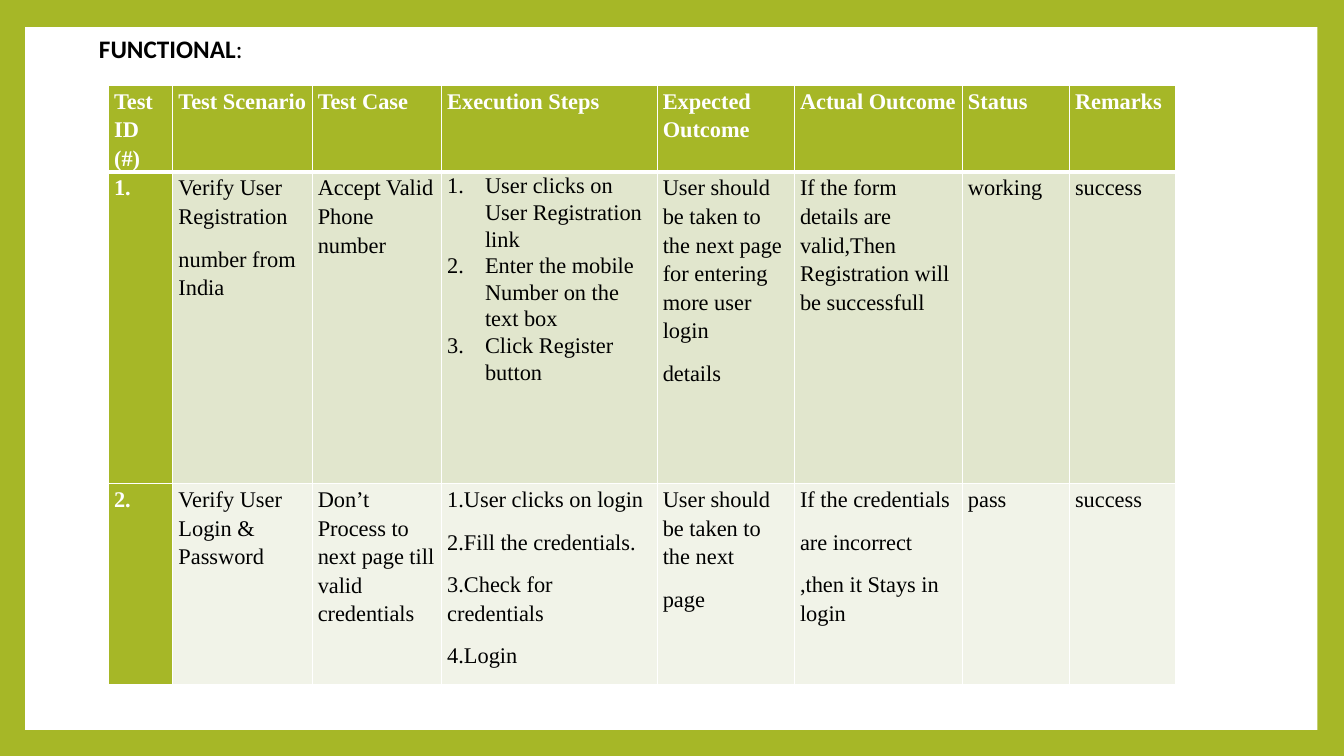
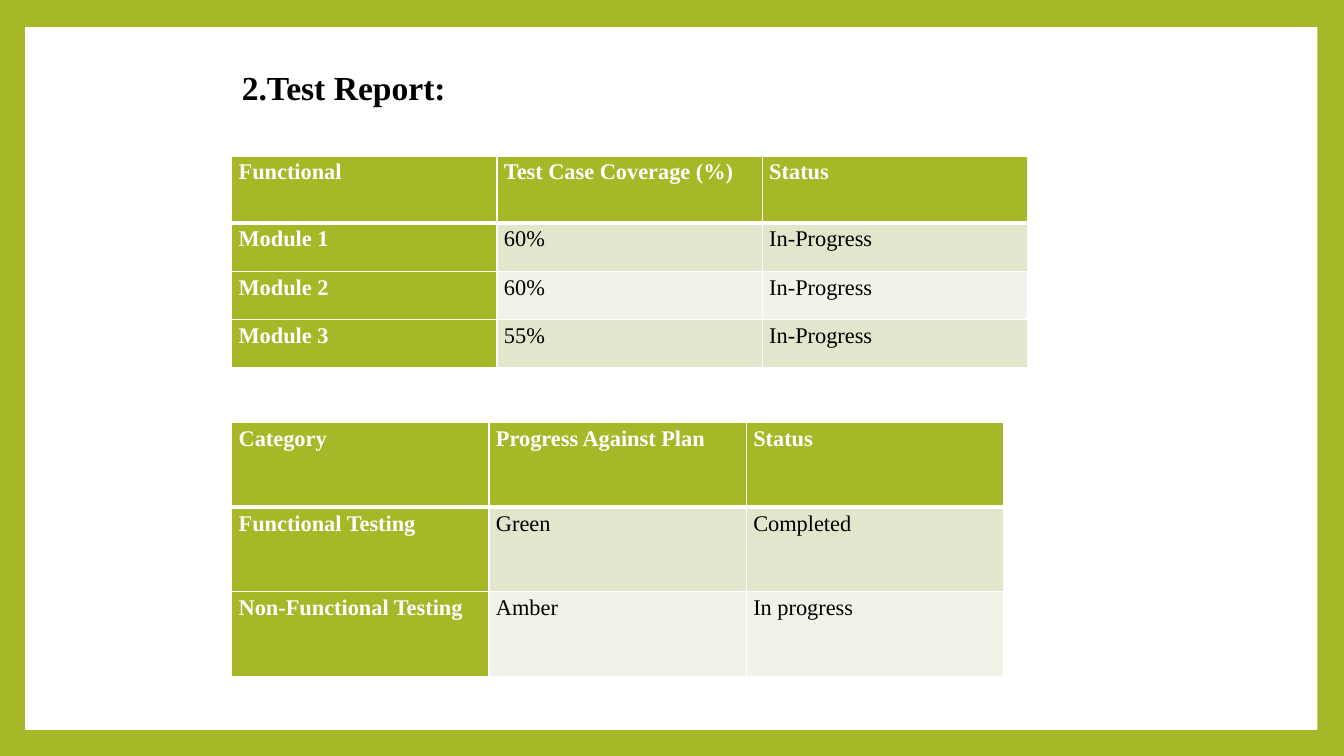
from dataclasses import dataclass

from lxml.etree import SubElement
from pptx import Presentation
from pptx.dml.color import RGBColor
from pptx.enum.shapes import MSO_SHAPE as Shape
from pptx.enum.text import MSO_ANCHOR as Anchor
from pptx.enum.text import MSO_AUTO_SIZE as Fit
from pptx.enum.text import PP_ALIGN as Align
from pptx.oxml.ns import qn
from pptx.util import Pt

GREEN, WHITE, BLACK = "A6B727", "FFFFFF", "000000"
BANDS = ("E1E6CD", "F1F3E8")
SERIF, SANS = "Times New Roman", "Calibri"


@dataclass(frozen=True)
class Head:
    box: tuple[float, float, float, float]
    runs: tuple[tuple[str, bool], ...]
    font: str
    size: float
    anchor: Anchor


@dataclass(frozen=True)
class Grid:
    left: float
    top: float
    cols: tuple[float, ...]
    rows: tuple[float, ...]
    pad: float
    cells: tuple[tuple[str, ...], ...]
    steps: tuple[int, int] | None = None


CASES = Grid(
    77.5, 61, (46, 99.5, 92.5, 154, 98, 120, 76.5, 76), (62, 222.5, 143.5), 4,
    (
        ("Test ID (#)", "Test Scenario", "Test Case", "Execution Steps",
         "Expected Outcome", "Actual Outcome", "Status", "Remarks"),
        ("1.", "Verify User Registration\nnumber from India",
         "Accept Valid Phone number",
         "User clicks on User Registration link\n"
         "Enter the mobile Number on the text box\nClick Register button",
         "User should be taken to the next page for entering more user login\ndetails",
         "If the form details are valid,Then Registration will be successfull",
         "working", "success"),
        ("2.", "Verify User Login & Password",
         "Don’t Process to next page till valid credentials",
         "1.User clicks on login\n2.Fill the credentials.\n"
         "3.Check for credentials\n4.Login",
         "User should be taken to the next\npage",
         "If the credentials\nare incorrect\n,then it Stays in login",
         "pass", "success"),
    ),
    steps=(1, 3),
)
COVER = Grid(
    165.5, 111.5, (189.5,) * 3, (48,) + (34.4,) * 3, 5,
    (
        ("Functional", "Test Case Coverage (%)", "Status"),
        ("Module 1", "60%", "In-Progress"),
        ("Module 2", "60%", "In-Progress"),
        ("Module 3", "55%", "In-Progress"),
    ),
)
PLAN = Grid(
    165.5, 302, (183.8,) * 3, (60.4,) * 3, 5,
    (
        ("Category", "Progress Against Plan", "Status"),
        ("Functional Testing", "Green", "Completed"),
        ("Non-Functional Testing", "Amber", "In progress"),
    ),
)
PAGES = (
    (Head((63.5, 20, 520, 51), (("FUNCTIONAL", True), (":", False)),
          SANS, 18, Anchor.TOP), (CASES,)),
    (Head((165.5, 42, 260, 40), (("2.Test Report:", True),),
          SERIF, 24, Anchor.MIDDLE), (PLAN, COVER)),
)


def tone(code: str) -> RGBColor:
    return RGBColor.from_string(code)


def put(para, text: str, *, font: str = SERIF, size: float = 16,
        color: str = BLACK, bold: bool = False) -> None:
    run = para.add_run()
    run.text = text
    run.font.name = font
    run.font.size = Pt(size)
    run.font.bold = bold
    run.font.color.rgb = tone(color)


def fill(shape, code: str) -> None:
    shape.fill.solid()
    shape.fill.fore_color.rgb = tone(code)


def edge(cell, row: int) -> None:
    props = cell._tc.get_or_add_tcPr()
    thick = {"lnT": row == 1, "lnB": row == 0}
    for spot, side in enumerate(("lnL", "lnR", "lnT", "lnB")):
        line = SubElement(props, qn(f"a:{side}"), w=str(Pt(3 if thick.get(side) else 1)))
        paint = SubElement(line, qn("a:solidFill"))
        SubElement(paint, qn("a:srgbClr"), val=str(tone(WHITE)))
        props.insert(spot, line)


def number(para) -> None:
    props = para._p.get_or_add_pPr()
    props.set("marL", str(Pt(27)))
    props.set("indent", str(Pt(-27)))
    SubElement(props, qn("a:buAutoNum"), type="arabicPeriod")


def write(cell, text: str, listed: bool, color: str, bold: bool) -> None:
    frame = cell.text_frame
    lines = text.split("\n")
    for at, line in enumerate(lines):
        para = frame.add_paragraph() if at else frame.paragraphs[0]
        para.line_spacing = 1.07 if listed else 1.15
        last = at == len(lines) - 1
        para.space_after = Pt((8 if last else 0) if listed else 10)
        if listed:
            number(para)
        put(para, line, color=color, bold=bold)


def draw(slide, grid: Grid) -> None:
    table = slide.shapes.add_table(
        len(grid.rows), len(grid.cols), Pt(grid.left), Pt(grid.top),
        Pt(sum(grid.cols)), Pt(sum(grid.rows))).table
    for col, width in zip(table.columns, grid.cols):
        col.width = Pt(width)
    for row, height in zip(table.rows, grid.rows):
        row.height = Pt(height)
    for y, texts in enumerate(grid.cells):
        for x, text in enumerate(texts):
            cell = table.cell(y, x)
            cell.margin_left = cell.margin_right = Pt(grid.pad)
            cell.margin_top = cell.margin_bottom = Pt(0)
            label = x == 0 or y == 0
            fill(cell, GREEN if label else BANDS[(y - 1) % 2])
            edge(cell, y)
            write(cell, text, (y, x) == grid.steps, WHITE if label else BLACK, label)


def title(slide, head: Head) -> None:
    shape = slide.shapes.title
    shape.left, shape.top, shape.width, shape.height = map(Pt, head.box)
    frame = shape.text_frame
    frame.word_wrap = True
    frame.auto_size = Fit.NONE
    frame.vertical_anchor = head.anchor
    para = frame.paragraphs[0]
    para.alignment = Align.LEFT
    for text, bold in head.runs:
        put(para, text, font=head.font, size=head.size, bold=bold)


def dress(master, slide) -> None:
    fill(master.background, GREEN)
    panel = slide.shapes.add_shape(Shape.RECTANGLE, Pt(18), Pt(19.4), Pt(923), Pt(502))
    panel.shadow.inherit = False
    fill(panel, WHITE)
    panel.line.fill.background()
    master.shapes.element.insert(2, panel.element)


def main() -> None:
    deck = Presentation()
    deck.slide_width, deck.slide_height = Pt(960), Pt(540)
    for head, grids in PAGES:
        slide = deck.slides.add_slide(deck.slide_layouts[5])
        title(slide, head)
        for grid in grids:
            draw(slide, grid)
    dress(deck.slide_master, deck.slides[0])
    deck.save("out.pptx")


if __name__ == "__main__":
    main()
